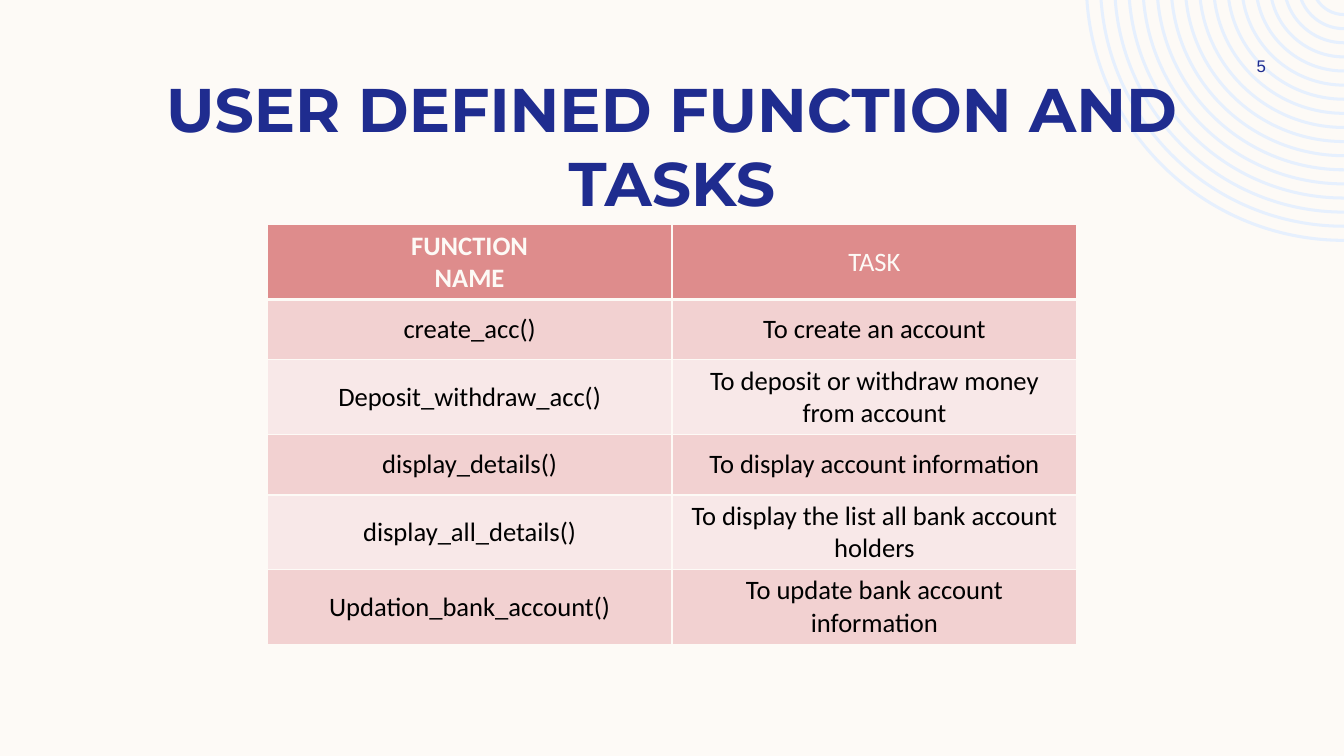
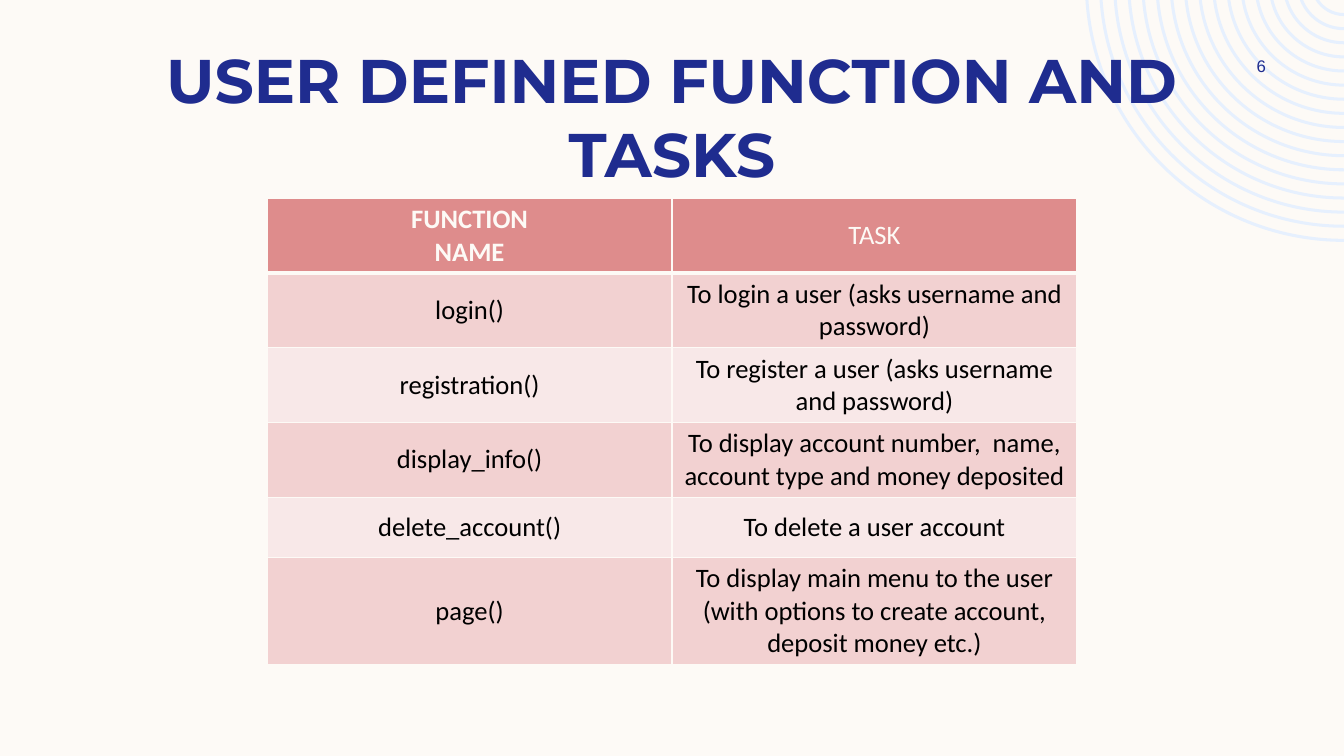
from dataclasses import dataclass
from math import asin, cos, pi, sin, tan

from lxml.etree import Element, SubElement
from pptx import Presentation
from pptx.dml.color import RGBColor
from pptx.enum.text import MSO_ANCHOR, MSO_AUTO_SIZE, PP_ALIGN
from pptx.oxml.ns import qn
from pptx.util import Inches, Pt

# Shared look
CREAM = RGBColor(0xFD, 0xFA, 0xF6)
NAVY = RGBColor(0x1F, 0x2C, 0x8F)
PALE_BLUE = RGBColor(0xE6, 0xF0, 0xFE)
ROSE = RGBColor(0xDE, 0x8C, 0x8C)
ROSE_BANDS = (RGBColor(0xF2, 0xD1, 0xD1), RGBColor(0xF8, 0xE8, 0xE8))
BLACK = RGBColor(0, 0, 0)

SLIDE_W, SLIDE_H = 13.33, 7.5
TITLE = "USER DEFINED FUNCTION AND TASKS"
TITLE_W, TITLE_H = 11.67, 0.84
HEADINGS = ("FUNCTION\nNAME", "TASK")
TABLE_W = 8.03
HEADING_ROW_H, TASK_ROW_H = 0.71, 0.6

# Concentric rings around a point just above the top right corner
RING_COUNT = 17
RING_CENTRE_Y = -0.17
RING_FIRST_RADIUS, RING_STEP, RING_THICKNESS = 0.33, 0.14, 0.03


@dataclass(frozen=True)
class FunctionSlide:
    number: int
    title_top: float
    table_top: float
    tasks: tuple[tuple[str, str], ...]


FUNCTION_SLIDES = (
    FunctionSlide(5, 0.65, 2.23, (
        ("create_acc()", "To create an account"),
        ("Deposit_withdraw_acc()", "To deposit or withdraw money from account"),
        ("display_details()", "To display account information"),
        ("display_all_details()", "To display the list all bank account holders"),
        ("Updation_bank_account()", "To update bank account information"),
    )),
    FunctionSlide(6, 0.37, 1.97, (
        ("login()", "To login a user (asks username and password)"),
        ("registration()", "To register a user (asks username and password)"),
        ("display_info()",
         "To display account number,  name, account type and money deposited"),
        ("delete_account()", "To delete a user account"),
        ("page()", "To display main menu to the user (with options to create "
                   "account, deposit money etc.)"),
    )),
)


def write_text(frame, text: str, *, size: float, font: str, color: RGBColor,
               bold: bool = False) -> None:
    """Fill a text frame with centred paragraphs, one per line of text."""
    frame.word_wrap = True
    frame.text = text
    for paragraph in frame.paragraphs:
        paragraph.alignment = PP_ALIGN.CENTER
        for run in paragraph.runs:
            run.font.size = Pt(size)
            run.font.name = font
            run.font.bold = bold
            run.font.color.rgb = color


def arc_points(radius: float) -> list[tuple[int, int]]:
    """Start, two Bezier handles and end of an arc from top to right edge."""
    start = asin(-RING_CENTRE_Y / radius)
    handle = 4 / 3 * tan((pi / 2 - start) / 4)
    points = [
        (cos(start), sin(start)),
        (cos(start) - handle * sin(start), sin(start) + handle * cos(start)),
        (handle, 1),
        (0, 1),
    ]
    return [(Inches(SLIDE_W - radius * x), Inches(RING_CENTRE_Y + radius * y))
            for x, y in points]


def curve_arcs(outline) -> None:
    """Join each ring's line segments 1-3 and 5-7 into Bezier curves."""
    segments = list(outline.element.iter(qn("a:lnTo")))
    for first in range(0, len(segments), 7):
        for offset in (0, 4):
            arc = segments[first + offset:first + offset + 3]
            curve = Element(qn("a:cubicBezTo"))
            arc[0].addprevious(curve)
            for segment in arc:
                curve.append(segment[0])
                segment.getparent().remove(segment)


def move_rings_to_layout(slide, layout) -> None:
    """Build the rings as one outline and place it behind the layout."""
    builder = None
    for index in range(RING_COUNT):
        radius = RING_FIRST_RADIUS + index * RING_STEP
        inner = arc_points(radius - RING_THICKNESS)
        outline = arc_points(radius) + inner[::-1]
        if builder is None:
            builder = slide.shapes.build_freeform(*outline[0])
        else:
            builder.move_to(*outline[0])
        builder.add_line_segments(outline[1:], close=True)
    rings = builder.convert_to_shape()
    curve_arcs(rings)
    rings.shadow.inherit = False
    rings.fill.solid()
    rings.fill.fore_color.rgb = PALE_BLUE
    rings.line.fill.background()
    layout.shapes.element.insert(2, rings.element)


def set_borders(cell, top: float = 1, bottom: float = 1) -> None:
    """Draw the four cell borders; widths are in points."""
    properties = cell._tc.get_or_add_tcPr()
    widths = {"a:lnL": 1, "a:lnR": 1, "a:lnT": top, "a:lnB": bottom}
    for position, (tag, width) in enumerate(widths.items()):
        border = SubElement(properties, qn(tag), w=str(Pt(width)))
        fill = SubElement(border, qn("a:solidFill"))
        SubElement(fill, qn("a:srgbClr"), val=str(CREAM))
        properties.insert(position, border)


def add_task_table(slide, top: float, tasks: tuple[tuple[str, str], ...]) -> None:
    rows = (HEADINGS, *tasks)
    height = HEADING_ROW_H + TASK_ROW_H * len(tasks)
    table = slide.shapes.add_table(
        len(rows), len(HEADINGS), Inches((SLIDE_W - TABLE_W) / 2), Inches(top),
        Inches(TABLE_W), Inches(height)).table
    for row_index, entries in enumerate(rows):
        is_heading = row_index == 0
        table.rows[row_index].height = Inches(
            HEADING_ROW_H if is_heading else TASK_ROW_H)
        for column, entry in enumerate(entries):
            cell = table.cell(row_index, column)
            cell.vertical_anchor = MSO_ANCHOR.MIDDLE
            cell.margin_left = cell.margin_right = Inches(0.11)
            cell.fill.solid()
            cell.fill.fore_color.rgb = (
                ROSE if is_heading else ROSE_BANDS[(row_index - 1) % 2])
            set_borders(cell, top=3 if row_index == 1 else 1,
                        bottom=3 if is_heading else 1)
            write_text(cell.text_frame, entry, size=19, font="Calibri",
                       color=CREAM if is_heading else BLACK,
                       bold=is_heading and column == 0)


def add_function_slide(prs, layout, content: FunctionSlide):
    slide = prs.slides.add_slide(layout)

    # Title
    title = slide.shapes.title
    title.left, title.top = Inches((SLIDE_W - TITLE_W) / 2), Inches(content.title_top)
    title.width, title.height = Inches(TITLE_W), Inches(TITLE_H)
    title.text_frame.auto_size = MSO_AUTO_SIZE.NONE
    title.text_frame.vertical_anchor = MSO_ANCHOR.TOP
    write_text(title.text_frame, TITLE, size=44, font="Montserrat", color=NAVY,
               bold=True)

    # Functions and their tasks
    add_task_table(slide, content.table_top, content.tasks)

    # Page number
    page_number = slide.shapes.add_textbox(
        Inches(11.97), Inches(0.5), Inches(1.08), Inches(0.3))
    page_number.text_frame.vertical_anchor = MSO_ANCHOR.MIDDLE
    write_text(page_number.text_frame, str(content.number), size=12, font="Arial",
               color=NAVY)
    return slide


def main() -> None:
    prs = Presentation()
    prs.slide_width, prs.slide_height = Inches(SLIDE_W), Inches(SLIDE_H)

    # Background shared by the slides
    layout = prs.slide_layouts.get_by_name("Title Only")
    layout.background.fill.solid()
    layout.background.fill.fore_color.rgb = CREAM

    slides = [add_function_slide(prs, layout, content) for content in FUNCTION_SLIDES]
    move_rings_to_layout(slides[0], layout)
    prs.save("out.pptx")


if __name__ == "__main__":
    main()
